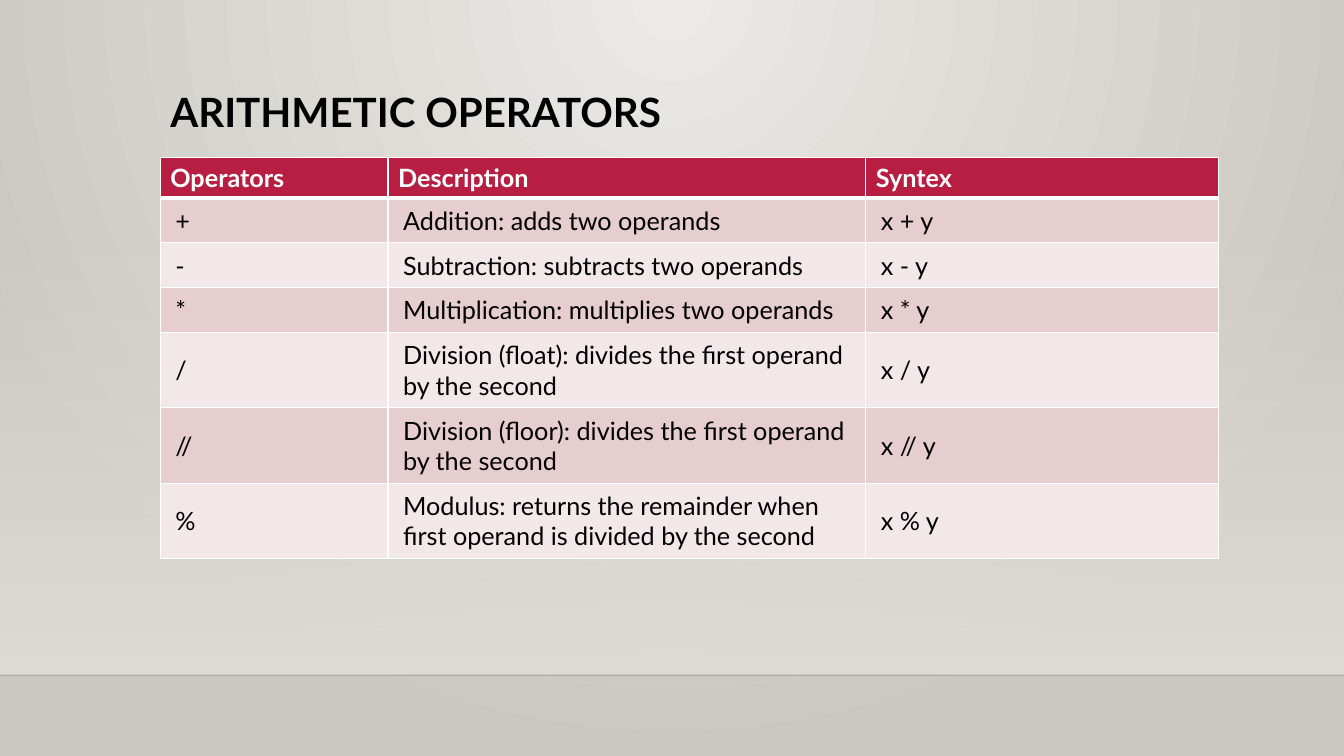
import pptx
import pptx.util
import pptx.dml.color
import pptx.enum.shapes
import pptx.enum.text
import pptx.oxml
import pptx.oxml.ns
import lxml.etree

Cm, Pt = pptx.util.Cm, pptx.util.Pt
RGB = pptx.dml.color.RGBColor
qn = pptx.oxml.ns.qn

TITLE = "ARITHMETIC OPERATORS"
ROWS = [
    ("Operators", "Description", "Syntex"),
    ("+", "Addition: adds two operands", "x + y"),
    ("-", "Subtraction: subtracts two operands", "x - y"),
    ("*", "Multiplication: multiplies two operands", "x * y"),
    ("/", "Division (float): divides the first operand by the second", "x / y"),
    ("//", "Division (floor): divides the first operand by the second", "x // y"),
    ("%", "Modulus: returns the remainder when first operand is divided by the second", "x % y"),
]
WIDTHS = [5.74, 12.04, 8.89]
HEIGHTS = [1.02] + [1.13] * 3 + [1.9] * 3
FONT = "Lato"
LEFT = 4.04
FLOOR = 17.02

BLACK = RGB(0, 0, 0)
WHITE = RGB(255, 255, 255)
RED = RGB(0xB7, 0x1E, 0x42)
ROSE = RGB(0xE6, 0xCD, 0xCF)
PALE = RGB(0xF3, 0xE8, 0xE9)
LIGHT = RGB(0xEC, 0xEA, 0xE7)
STONE = RGB(0xCA, 0xC7, 0xC1)
SAND = RGB(0xDF, 0xDB, 0xD5)
INK = RGB(0, 0, 1)


def add(parent, tag, **attrs):
    return lxml.etree.SubElement(parent, qn(tag), attrs)


def blend(fill, first, last):
    fill.gradient()
    for stop, color in zip(fill.gradient_stops, (first, last)):
        stop.color.rgb = color


def fade(node, share):
    add(next(node.iter(qn("a:srgbClr"))), "a:alpha", val=str(share * 1000))


def style(frame, size, color, bold):
    for run in frame.paragraphs[0].runs:
        font = run.font
        font.name, font.size, font.bold = FONT, Pt(size), bold
        font.color.rgb = color


def edge(cell, row):
    props = cell._tc.get_or_add_tcPr()
    for spot, side in enumerate("LRTB"):
        thick = (row, side) in ((0, "B"), (1, "T"))
        line = lxml.etree.Element(qn("a:ln" + side), w=str(Pt(3 if thick else 1)))
        add(add(line, "a:solidFill"), "a:srgbClr", val=str(WHITE))
        props.insert(spot, line)


deck = pptx.Presentation()
deck.slide_width, deck.slide_height = Cm(33.87), Cm(19.05)
slide = deck.slides.add_slide(deck.slide_layouts[5])
shapes = slide.shapes

back = slide.background.fill
blend(back, LIGHT, STONE)
grad = next(slide._element.iter(qn("a:gradFill")))
grad.remove(grad.find(qn("a:lin")))
glow = add(grad, "a:path", path="circle")
add(glow, "a:fillToRect", l="43000", t="0", r="43000", b="100000")

wall = shapes.add_shape(pptx.enum.shapes.MSO_SHAPE.RECTANGLE,
                        0, Cm(5.61), deck.slide_width, Cm(FLOOR - 5.61))
wall.shadow.inherit = False
wall.line.fill.background()
blend(wall.fill, SAND, SAND)
wall.fill.gradient_angle = 270
fade(wall._element.spPr, 0)

rule = shapes.add_connector(pptx.enum.shapes.MSO_CONNECTOR.STRAIGHT,
                            0, Cm(FLOOR), deck.slide_width, Cm(FLOOR))
rule.line.width = Pt(1)
rule.line.color.rgb = INK
fade(rule._element.spPr, 20)
add(rule._element.spPr, "a:effectLst")

title = shapes.title
title.left, title.top = Cm(LEFT), Cm(2.24)
title.width, title.height = Cm(sum(WIDTHS)), Cm(1.3)
frame = title.text_frame
frame.text = TITLE
frame.word_wrap = True
frame.auto_size = pptx.enum.text.MSO_AUTO_SIZE.NONE
frame.vertical_anchor = pptx.enum.text.MSO_ANCHOR.MIDDLE
frame.paragraphs[0].alignment = pptx.enum.text.PP_ALIGN.LEFT
frame.paragraphs[0].line_spacing = 0.9
style(frame, 28.8, BLACK, True)

table = shapes.add_table(len(ROWS), len(WIDTHS), Cm(LEFT), Cm(3.97),
                         Cm(sum(WIDTHS)), Cm(sum(HEIGHTS))).table
for col, width in zip(table.columns, WIDTHS):
    col.width = Cm(width)
for row, (words, height) in enumerate(zip(ROWS, HEIGHTS)):
    table.rows[row].height = Cm(height)
    head = row == 0
    for col, text in enumerate(words):
        cell = table.cell(row, col)
        cell.text_frame.text = text
        style(cell.text_frame, 18, WHITE if head else BLACK, head)
        cell.fill.solid()
        cell.fill.fore_color.rgb = RED if head else ROSE if row % 2 else PALE
        if not head:
            cell.vertical_anchor = pptx.enum.text.MSO_ANCHOR.MIDDLE
            cell.margin_left = cell.margin_right = Cm(0.38)
            cell.margin_top = cell.margin_bottom = Cm(0.18)
        edge(cell, row)

deck.save("out.pptx")
